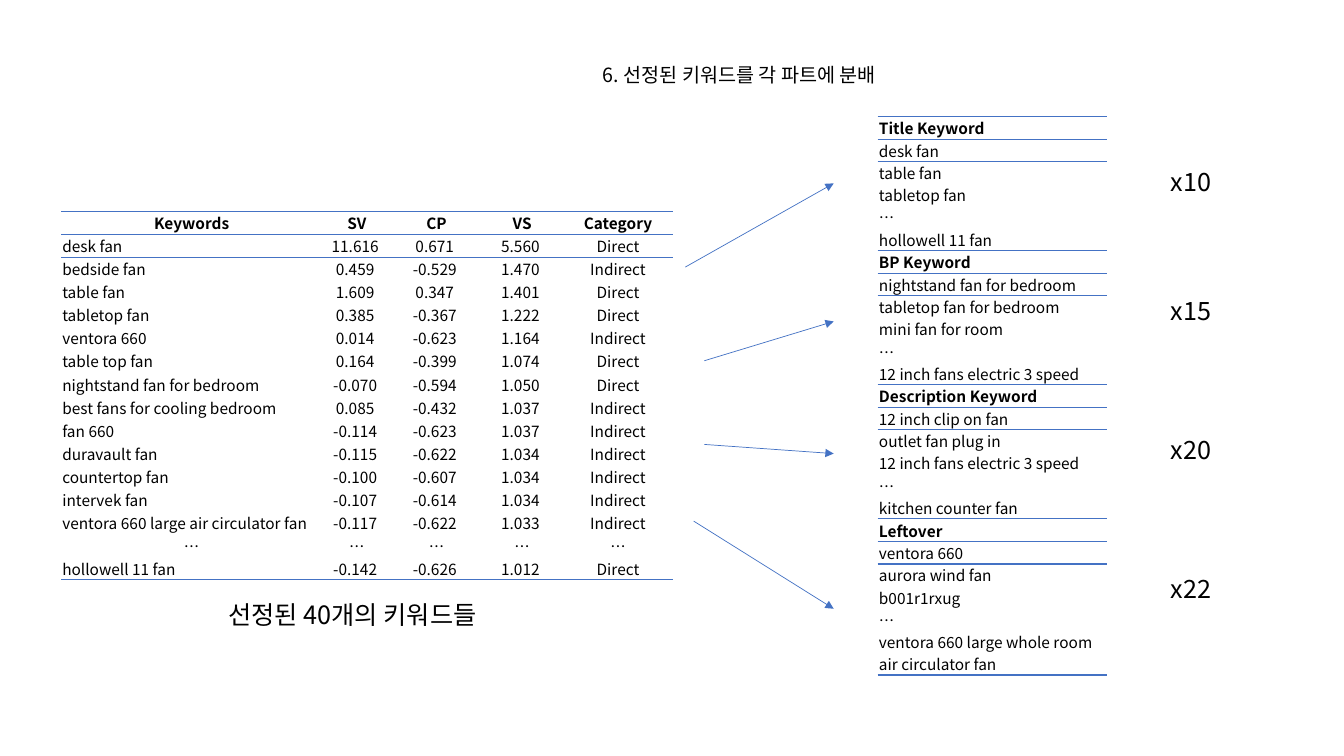
import lxml.etree
import pptx
import pptx.dml.color
import pptx.enum.shapes
import pptx.enum.text
import pptx.oxml.ns
import pptx.util

Cm, Pt = pptx.util.Cm, pptx.util.Pt
qn = pptx.oxml.ns.qn
CENTER = pptx.enum.text.PP_ALIGN.CENTER
LEFT = pptx.enum.text.PP_ALIGN.LEFT
MIDDLE = pptx.enum.text.MSO_ANCHOR.MIDDLE
FIT = pptx.enum.text.MSO_AUTO_SIZE.SHAPE_TO_FIT_TEXT
PLAIN_TABLE = "{2D5ABB26-0587-4C30-8999-92F81FD0307C}"


def rgb(value):
    return pptx.dml.color.RGBColor.from_string(value)


class KeywordSlide:
    font = "Noto Sans CJK KR"
    colors = {"text": "000000", "line": "4472C4"}

    def __init__(self, prs):
        self.s = prs.slides.add_slide(prs.slide_layouts[6])

    def add_text(self, tf, text, size, align=LEFT, bold=False):
        p = tf.paragraphs[0]
        p.alignment = align
        r = p.add_run()
        r.text = text
        for name, value in {"name": self.font, "size": Pt(size), "bold": bold}.items():
            setattr(r.font, name, value)
        r.font.color.rgb = rgb(self.colors["text"])
        ea = lxml.etree.Element(qn("a:ea"), typeface=self.font)
        r.font._element.find(qn("a:latin")).addnext(ea)

    def label(self, text, box, size, align=LEFT, wrap=False):
        sp = self.s.shapes.add_textbox(*map(Cm, box))
        tf = sp.text_frame
        for name, value in {"word_wrap": wrap, "auto_size": FIT}.items():
            setattr(tf, name, value)
        self.add_text(tf, text, size, align)

    def arrow(self, x1, y1, x2, y2):
        kind = pptx.enum.shapes.MSO_CONNECTOR.STRAIGHT
        c = self.s.shapes.add_connector(kind, *map(Cm, (x1, y1, x2, y2)))
        c.line.color.rgb = rgb(self.colors["line"])
        c.line.width = Pt(0.5)
        lxml.etree.SubElement(c.line._get_or_add_ln(), qn("a:tailEnd"), type="triangle")
        lxml.etree.SubElement(c._element.spPr, qn("a:effectLst"))

    def border(self, cell, side):
        ln = lxml.etree.Element(qn("a:ln" + side), w=str(Pt(1)))
        fill = lxml.etree.SubElement(ln, qn("a:solidFill"))
        lxml.etree.SubElement(fill, qn("a:srgbClr"), val=self.colors["line"])
        cell._tc.get_or_add_tcPr().insert(0, ln)

    def table(self, rows, left, top, widths, heights, headers, inset_top, centered):
        """headers: row numbers in bold; centered(row, column, text) tells the alignment."""
        frame = self.s.shapes.add_table(len(rows), len(widths), Cm(left), Cm(top),
                                        Cm(sum(widths)), Cm(sum(heights)))
        table = frame.table
        table.first_row = table.horz_banding = False
        table._tbl.tblPr.find(qn("a:tableStyleId")).text = PLAIN_TABLE
        for column, width in zip(table.columns, widths):
            column.width = Cm(width)
        for row, height in zip(table.rows, heights):
            row.height = Cm(height)

        cell_format = {"margin_left": Cm(0.03), "margin_right": Cm(0.03),
                       "margin_top": Cm(inset_top), "margin_bottom": 0,
                       "vertical_anchor": MIDDLE}
        for i, row in enumerate(rows):
            for j, text in enumerate(row):
                cell = table.cell(i, j)
                for name, value in cell_format.items():
                    setattr(cell, name, value)
                cell.fill.background()
                align = CENTER if centered(i, j, text) else LEFT
                self.add_text(cell.text_frame, text, 11, align, i in headers)
                if i in headers or i + 1 in headers or i == len(rows) - 1:
                    self.border(cell, "B")
                if i in headers or i - 1 in headers:
                    self.border(cell, "T")


KEYWORDS = [
    ("desk fan", 11.616, 0.671, 5.560, "Direct"),
    ("bedside fan", 0.459, -0.529, 1.470, "Indirect"),
    ("table fan", 1.609, 0.347, 1.401, "Direct"),
    ("tabletop fan", 0.385, -0.367, 1.222, "Direct"),
    ("ventora 660", 0.014, -0.623, 1.164, "Indirect"),
    ("table top fan", 0.164, -0.399, 1.074, "Direct"),
    ("nightstand fan for bedroom", -0.070, -0.594, 1.050, "Direct"),
    ("best fans for cooling bedroom", 0.085, -0.432, 1.037, "Indirect"),
    ("fan 660", -0.114, -0.623, 1.037, "Indirect"),
    ("duravault fan", -0.115, -0.622, 1.034, "Indirect"),
    ("countertop fan", -0.100, -0.607, 1.034, "Indirect"),
    ("intervek fan", -0.107, -0.614, 1.034, "Indirect"),
    ("ventora 660 large air circulator fan", -0.117, -0.622, 1.033, "Indirect"),
    ("…",) * 5,
    ("hollowell 11 fan", -0.142, -0.626, 1.012, "Direct"),
]
PARTS = {
    "Title Keyword": ["desk fan", "table fan", "tabletop fan", "…", "hollowell 11 fan"],
    "BP Keyword": ["nightstand fan for bedroom", "tabletop fan for bedroom",
                   "mini fan for room", "…", "12 inch fans electric 3 speed"],
    "Description Keyword": ["12 inch clip on fan", "outlet fan plug in",
                            "12 inch fans electric 3 speed", "…", "kitchen counter fan"],
    "Leftover": ["ventora 660", "aurora wind fan", "b001r1rxug", "…",
                 "ventora 660 large whole room air circulator fan"],
}
COUNTS = {"x10": 4.06, "x15": 7.32, "x20": 10.82, "x22": 14.33}
ARROWS = [(17.27, 6.73, 4.62), (17.75, 9.09, 8.1), (17.75, 11.2, 11.43), (17.48, 13.13, 15.34)]


def main():
    prs = pptx.Presentation()
    prs.slide_width, prs.slide_height = Cm(33.87), Cm(19.05)
    slide = KeywordSlide(prs)

    # Heading and caption
    slide.label("6. 선정된 키워드를 각 파트에 분배", (14.94, 1.45, 8.26, 0.86), 14)
    slide.label("선정된 40개의 키워드들", (5.51, 14.99, 7.44, 1.02), 18)

    # Selected keywords with their scores
    rows = [("Keywords", "SV", "CP", "VS", "Category")]
    rows += [[f"{v:.3f} " if isinstance(v, float) else v for v in row] for row in KEYWORDS]
    slide.table(rows, 1.54, 5.32, [6.58, 1.75, 2.26, 2.06, 2.77], [0.58] * len(rows),
                {0}, 0.02, lambda i, j, text: i == 0 or j > 0 or text == "…")

    # Keywords by listing part
    rows = [(text,) for part, words in PARTS.items() for text in (part, *words)]
    headers = set(range(0, len(rows), 6))
    heights = [0.58 if i in headers else 0.56 for i in range(len(rows))]
    heights[-1] *= 2
    slide.table(rows, 22.12, 2.93, [5.77], heights, headers, 0,
                lambda i, j, text: False)

    # Arrows from the keywords to the parts
    for x, y, end_y in ARROWS:
        slide.arrow(x, y, 21.01, end_y)

    # Number of keywords in each part
    for count, top in COUNTS.items():
        slide.label(count, (28.98, top, 2.08, 1.02), 18, CENTER, True)

    prs.save("out.pptx")


if __name__ == "__main__":
    main()
